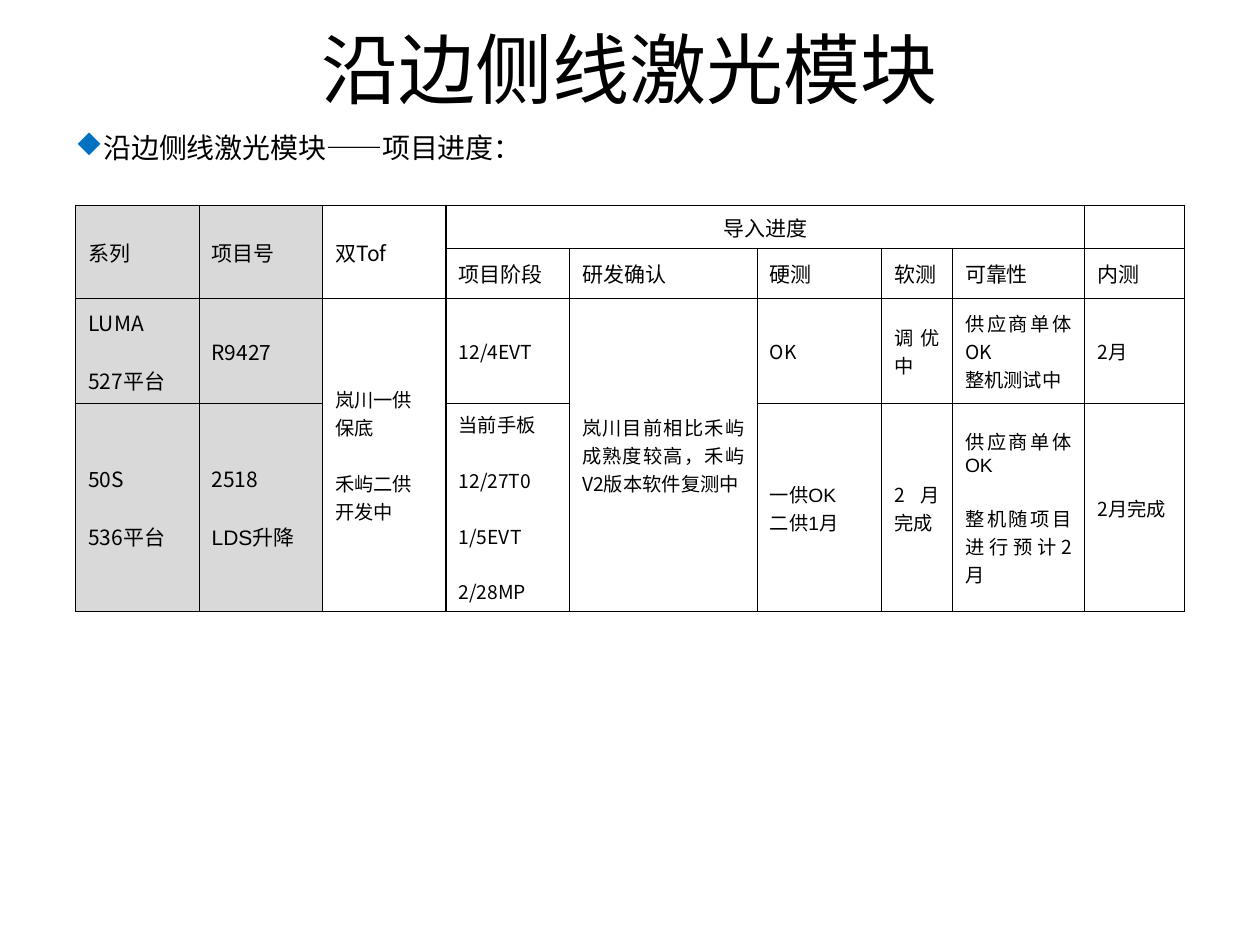
from itertools import groupby

from lxml.etree import SubElement
from pptx import Presentation
from pptx.dml.color import RGBColor
from pptx.enum.text import MSO_ANCHOR, PP_ALIGN
from pptx.oxml.ns import qn
from pptx.util import Inches, Pt

LATIN = "Arial"
CJK = "Noto Sans CJK SC"
BLACK, GREY, BLUE = "000000", "D9D9D9", "0070C0"
SECTION_GAP = Pt(16)

COLUMN_WIDTHS = [0.98, 0.98, 0.98, 0.98, 1.49, 0.99, 0.56, 1.05, 0.79]
ROW_HEIGHTS = [0.3, 0.4, 0.83, 1.37]
MERGES = [((0, 0), (1, 0)), ((0, 1), (1, 1)), ((0, 2), (1, 2)),
          ((0, 3), (0, 7)), ((2, 2), (3, 2)), ((2, 4), (3, 4))]

# "\n" starts a new line; "\n\n" starts a new section, set apart by spacing.
ROWS = [
    ["系列", "项目号", "双Tof", "导入进度", "", "", "", "", ""],
    ["", "", "", "项目阶段", "研发确认", "硬测", "软测", "可靠性", "内测"],
    ["LUMA\n\n527平台", "R9427", "岚川一供\n保底\n\n禾屿二供\n开发中", "12/4EVT",
     "岚川目前相比禾屿成熟度较高，禾屿V2版本软件复测中", "OK", "调优中",
     "供应商单体OK\n整机测试中", "2月"],
    ["50S\n\n536平台", "2518\n\nLDS升降", "", "当前手板\n\n12/27T0\n\n1/5EVT\n\n2/28MP",
     "", "一供OK\n二供1月", "2月完成", "供应商单体OK\n\n整机随项目进行预计2月", "2月完成"],
]
ARIAL_LINES = {(3, 1, "LDS升降"), (3, 5, "一供OK"), (3, 5, "二供1月"), (3, 7, "供应商单体OK")}


def color(value):
    return RGBColor.from_string(value)


class SlideBuilder:
    def __init__(self, deck):
        self.page = deck.slides.add_slide(deck.slide_layouts[5])

    def format_span(self, span, size, font=LATIN):
        span.font.size = Pt(size)
        span.font.name = font
        span.font.color.rgb = color(BLACK)
        SubElement(span.font._element, qn("a:ea"), typeface=CJK)

    def title(self, text, left, top, width, height):
        box = self.page.shapes.title
        box.left, box.top = Inches(left), Inches(top)
        box.width, box.height = Inches(width), Inches(height)
        box.text_frame.text = text
        box.text_frame.vertical_anchor = MSO_ANCHOR.MIDDLE
        para = box.text_frame.paragraphs[0]
        para.alignment = PP_ALIGN.CENTER
        self.format_span(para.runs[0], 44)

    def bullet(self, text, left, top, width, height):
        box = self.page.shapes.add_textbox(
            Inches(left), Inches(top), Inches(width), Inches(height))
        box.text_frame.word_wrap = True
        box.text_frame.text = text
        para = box.text_frame.paragraphs[0]
        self.format_span(para.runs[0], 16)
        props = para._p.get_or_add_pPr()
        props.set("marL", str(Inches(0.22)))
        props.set("indent", str(-Inches(0.22)))
        tint = SubElement(props, qn("a:buClr"))
        SubElement(tint, qn("a:srgbClr"), val=BLUE)
        SubElement(props, qn("a:buFont"), typeface="Wingdings", charset="2")
        SubElement(props, qn("a:buChar"), char="u")

    def borders(self, cell):
        props = cell._tc.get_or_add_tcPr()
        for index, side in enumerate(("lnL", "lnR", "lnT", "lnB")):
            line = props.makeelement(qn(f"a:{side}"), {"w": str(Pt(0.75))})
            fill = SubElement(line, qn("a:solidFill"))
            SubElement(fill, qn("a:srgbClr"), val=BLACK)
            props.insert(index, line)

    def cell_text(self, cell, row, column, text):
        cell.vertical_anchor = MSO_ANCHOR.MIDDLE
        if not text:
            cell.margin_top = cell.margin_bottom = 0
            return
        size = 12 if row < 2 or column < 2 else 11
        sections = [section.split("\n") for section in text.split("\n\n")]
        lines = [(line, number > 0 and place == 0)
                 for number, section in enumerate(sections)
                 for place, line in enumerate(section)]
        frame = cell.text_frame
        for number, (line, starts_section) in enumerate(lines):
            para = frame.add_paragraph() if number else frame.paragraphs[0]
            if row > 1:
                para.alignment = PP_ALIGN.JUSTIFY
            elif text == "导入进度":
                para.alignment = PP_ALIGN.CENTER
            if starts_section:
                para.space_before = SECTION_GAP
            if (row, column, line) in ARIAL_LINES:
                parts = [(line, LATIN)]
            else:
                parts = [("".join(part), CJK if is_ascii else LATIN)
                         for is_ascii, part in groupby(line, str.isascii)]
            for part, font in parts:
                span = para.add_run()
                span.text = part
                self.format_span(span, size, font)

    def table(self, left, top):
        table = self.page.shapes.add_table(
            len(ROW_HEIGHTS), len(COLUMN_WIDTHS), Inches(left), Inches(top),
            Inches(sum(COLUMN_WIDTHS)), Inches(sum(ROW_HEIGHTS))).table
        table.first_row = table.horz_banding = False
        for column, width in zip(table.columns, COLUMN_WIDTHS):
            column.width = Inches(width)
        for row, height in zip(table.rows, ROW_HEIGHTS):
            row.height = Inches(height)
        for row, texts in enumerate(ROWS):
            for column, text in enumerate(texts):
                cell = table.cell(row, column)
                self.cell_text(cell, row, column, text)
                if column < 2:
                    cell.fill.solid()
                    cell.fill.fore_color.rgb = color(GREY)
                else:
                    cell.fill.background()
                self.borders(cell)
        for first, last in MERGES:
            table.cell(*first).merge(table.cell(*last))


def main():
    deck = Presentation()
    deck.slide_width, deck.slide_height = Inches(10), Inches(7.5)
    builder = SlideBuilder(deck)
    builder.table(0.6, 1.63)
    builder.bullet("沿边侧线激光模块——项目进度：", 0.5, 0.99, 8.94, 0.45)
    builder.title("沿边侧线激光模块", 0.5, -0.09, 9, 1.25)
    deck.save("out.pptx")


if __name__ == "__main__":
    main()
